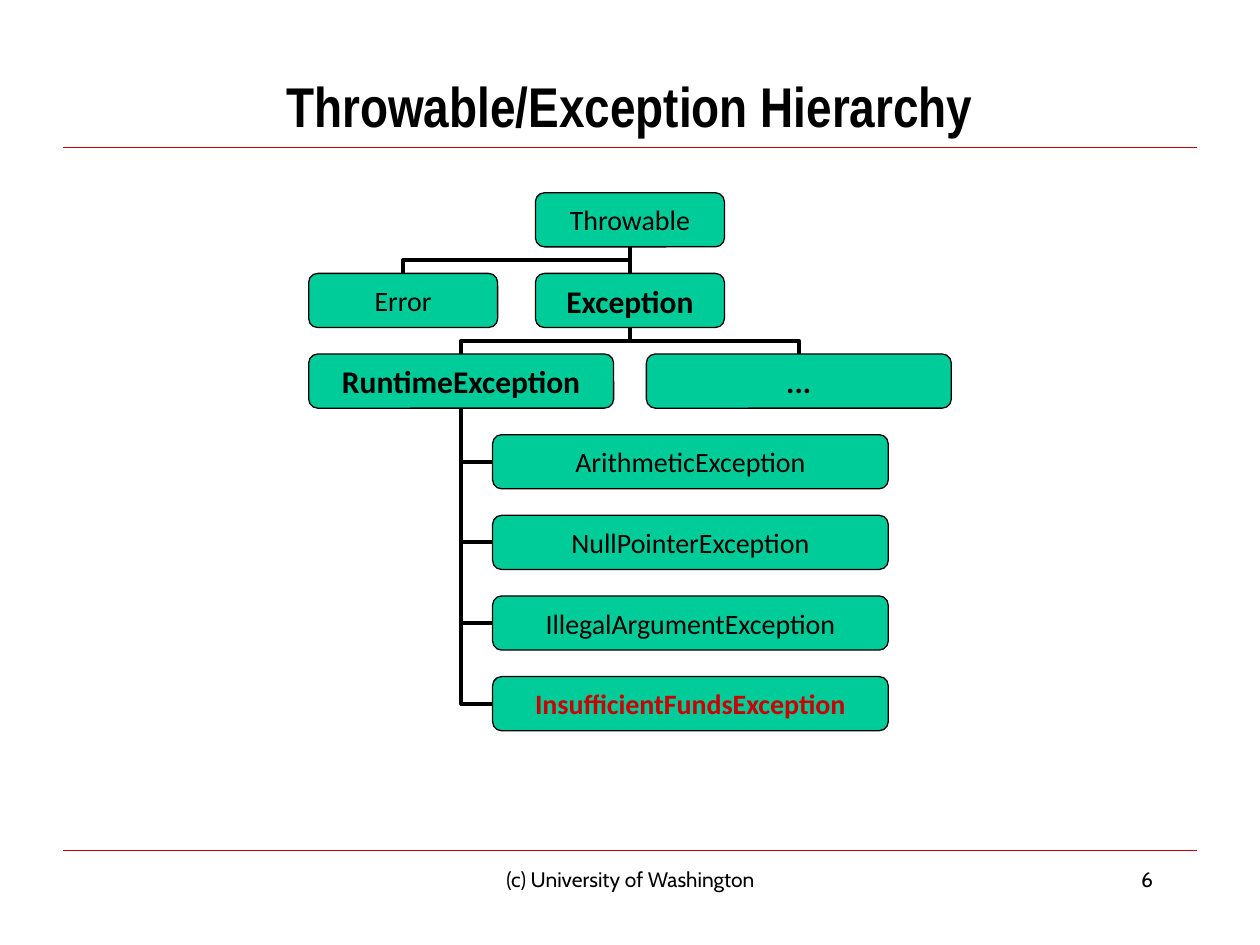
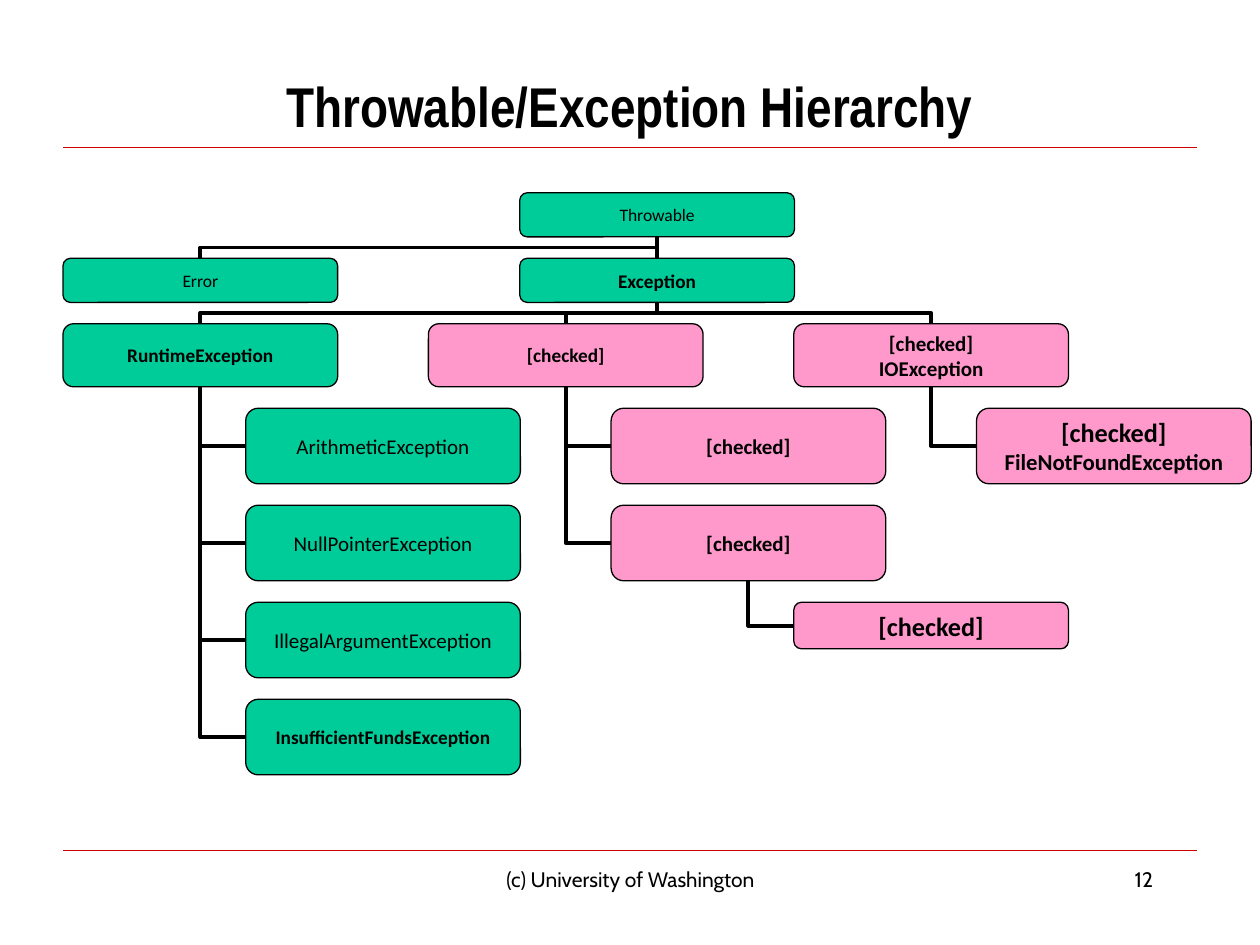
from dataclasses import dataclass

import pptx
import pptx.util
from pptx.dml.color import RGBColor
from pptx.enum.shapes import MSO_CONNECTOR, MSO_SHAPE
from pptx.enum.text import MSO_ANCHOR, PP_ALIGN
from pptx.oxml.ns import qn
from pptx.oxml.xmlchemy import OxmlElement

BLACK = RGBColor(0, 0, 0)
RED = RGBColor(0xCC, 0, 0)
GREEN = RGBColor(0, 0xCC, 0x99)
PINK = RGBColor(0xFF, 0x99, 0xCC)

WIDTH, HEIGHT, MARGIN = 10, 7.5, 0.5
TREE_TOP = 1.53
LAST_FORKED_ROW = 2
TITLE = "Throwable/Exception Hierarchy"
COPYRIGHT = "(c) University of Washington"
CHECKED = "[checked]"


@dataclass
class Node:
    lines: tuple
    parent: int
    column: int
    row: int
    sizes: tuple
    bold: bool = False
    fill: RGBColor = GREEN
    color: RGBColor = BLACK
    height: float = 0


@dataclass
class Hierarchy:
    number: int
    columns: list
    row_heights: list
    gap: float
    nodes: list


HIERARCHIES = [
    Hierarchy(
        number=6,
        columns=[(2.45, 1.5), (4.25, 1.5), (2.45, 2.42), (5.13, 2.42), (3.91, 3.14)],
        row_heights=[0.43] * 7,
        gap=0.21,
        nodes=[
            Node(("Throwable",), None, 1, 0, (16,)),
            Node(("Error",), 0, 0, 1, (16,)),
            Node(("Exception",), 0, 1, 1, (18,), True),
            Node(("RuntimeException",), 2, 2, 2, (18,), True),
            Node(("...",), 2, 3, 2, (18,), True),
            Node(("ArithmeticException",), 3, 4, 3, (16,)),
            Node(("NullPointerException",), 3, 4, 4, (16,)),
            Node(("IllegalArgumentException",), 3, 4, 5, (16,)),
            Node(("InsufficientFundsException",), 3, 4, 6, (16,), True, color=RED),
        ],
    ),
    Hierarchy(
        number=12,
        columns=[(MARGIN + 1.45 * step, 2.18) for step in (0, 1, 2, 2.5, 3, 4, 5)],
        row_heights=[0.35, 0.35, 0.5] + [0.6] * 4,
        gap=0.17,
        nodes=[
            Node(("Throwable",), None, 3, 0, (10,)),
            Node(("Error",), 0, 0, 1, (10,)),
            Node(("Exception",), 0, 3, 1, (11,), True),
            Node(("RuntimeException",), 2, 0, 2, (11,), True),
            Node((CHECKED,), 2, 2, 2, (11,), True, PINK),
            Node((CHECKED, "IOException"), 2, 5, 2, (12, 12), True, PINK),
            Node(("ArithmeticException",), 3, 1, 3, (12,)),
            Node(("NullPointerException",), 3, 1, 4, (12,)),
            Node(("IllegalArgumentException",), 3, 1, 5, (12,)),
            Node(("InsufficientFundsException",), 3, 1, 6, (11,), True),
            Node((CHECKED,), 4, 4, 3, (12,), True, PINK),
            Node((CHECKED,), 4, 4, 4, (12,), True, PINK),
            Node((CHECKED, "FileNotFoundException"), 5, 6, 3, (15, 13), True, PINK),
            Node((CHECKED,), 11, 5, 5, (15,), True, PINK, height=0.37),
        ],
    ),
]


def inches(*lengths):
    return [pptx.util.Inches(length) for length in lengths]


def style_paragraph(paragraph, text, font_name, size, bold, color, align):
    paragraph.text = text
    paragraph.alignment = align
    font = paragraph.font
    font.name, font.size, font.bold = font_name, pptx.util.Pt(size), bold
    font.color.rgb = color


def add_label(slide, box, text, font_name, size, align, bold=False,
              anchor=MSO_ANCHOR.TOP):
    frame = slide.shapes.add_textbox(*inches(*box)).text_frame
    frame.word_wrap = True
    frame.vertical_anchor = anchor
    style_paragraph(frame.paragraphs[0], text, font_name, size, bold, BLACK, align)


def add_line(slide, kind, ends, color, weight):
    line = slide.shapes.add_connector(kind, *ends)
    line.line.color.rgb = color
    line.line.width = pptx.util.Pt(weight)
    line._element.spPr.append(OxmlElement("a:effectLst"))
    return line


def add_frame(slide, number):
    for y in (1.17, 6.75):
        add_line(slide, MSO_CONNECTOR.STRAIGHT,
                 inches(MARGIN, y, WIDTH - MARGIN, y), RED, 0.75)
    add_label(slide, (MARGIN, 0.5, WIDTH - 2 * MARGIN, 0.67), TITLE,
              "Arial Narrow", 32, PP_ALIGN.CENTER, True, MSO_ANCHOR.MIDDLE)
    add_label(slide, (3.42, 6.83, 3.17, 0.5), COPYRIGHT, "Cabin", 12, PP_ALIGN.CENTER)
    add_label(slide, (7.17, 6.83, 2.08, 0.5), str(number), "Cabin", 12, PP_ALIGN.RIGHT)


def add_node(slide, hierarchy, node):
    left, width = hierarchy.columns[node.column]
    top = TREE_TOP + sum(hierarchy.row_heights[:node.row]) + hierarchy.gap * node.row
    height = node.height or hierarchy.row_heights[node.row]
    box = slide.shapes.add_shape(MSO_SHAPE.ROUNDED_RECTANGLE,
                                 *inches(left, top, width, height))
    box.shadow.inherit = False
    box.fill.solid()
    box.fill.fore_color.rgb = node.fill
    box.line.color.rgb = BLACK
    box.line.width = pptx.util.Pt(0.75)
    frame = box.text_frame
    frame.word_wrap = False
    frame.vertical_anchor = MSO_ANCHOR.MIDDLE
    frame.margin_left, frame.margin_right = inches(0.05, 0.05)
    frame.margin_top, frame.margin_bottom = inches(0.03, 0.03)
    for index, (text, size) in enumerate(zip(node.lines, node.sizes)):
        paragraph = frame.add_paragraph() if index else frame.paragraphs[0]
        style_paragraph(paragraph, text, "Calibri", size, node.bold,
                        node.color, PP_ALIGN.CENTER)
    return box


def link_nodes(slide, parent, child, hanging):
    start_x, start_y = parent.left + parent.width // 2, parent.top + parent.height
    if hanging:
        end_x, end_y = child.left, child.top + child.height // 2
    else:
        end_x, end_y = child.left + child.width // 2, child.top
    straight = start_x == end_x
    kind = MSO_CONNECTOR.STRAIGHT if straight else MSO_CONNECTOR.ELBOW
    link = add_line(slide, kind, (start_x, start_y, end_x, end_y), BLACK, 2.25)
    if straight:
        link.begin_connect(parent, 2)
        link.end_connect(child, 0)
        return
    properties = link._element.spPr
    xfrm = properties.find(qn("a:xfrm"))
    if hanging:
        properties.find(qn("a:prstGeom")).set("prst", "bentConnector2")
        xfrm.set("rot", "10800000")
        return
    drop, reach = end_y - start_y, abs(end_x - start_x)
    link.left = (start_x + end_x - drop) // 2
    link.top = (start_y + end_y - reach) // 2
    link.width, link.height = drop, reach
    xfrm.set("rot", "5400000" if end_x < start_x else "16200000")
    xfrm.set("flipH", "0" if end_x < start_x else "1")


def main():
    deck = pptx.Presentation()
    deck.slide_width, deck.slide_height = inches(WIDTH, HEIGHT)
    for hierarchy in HIERARCHIES:
        slide = deck.slides.add_slide(deck.slide_layouts[6])
        add_frame(slide, hierarchy.number)
        boxes = [add_node(slide, hierarchy, node) for node in hierarchy.nodes]
        for node, box in zip(hierarchy.nodes, boxes):
            if node.parent is not None:
                link_nodes(slide, boxes[node.parent], box, node.row > LAST_FORKED_ROW)
    deck.save("out.pptx")


if __name__ == "__main__":
    main()
